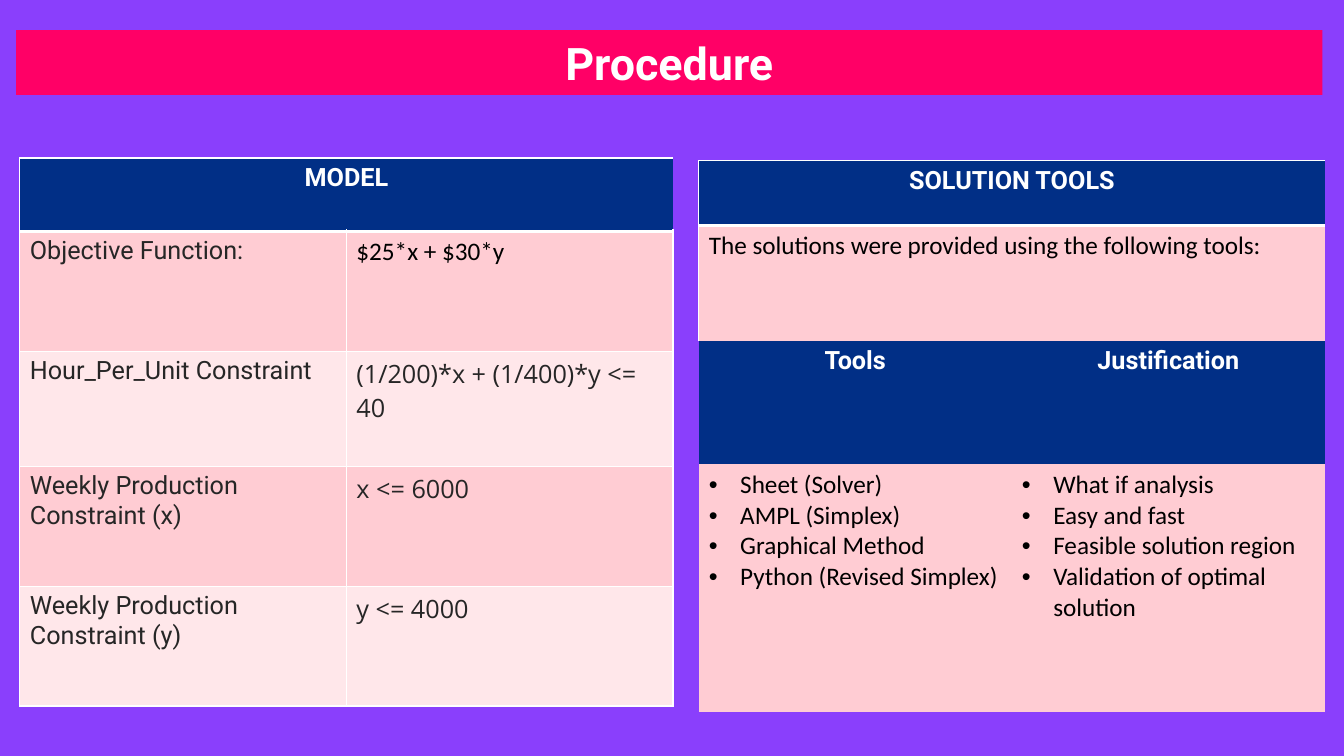
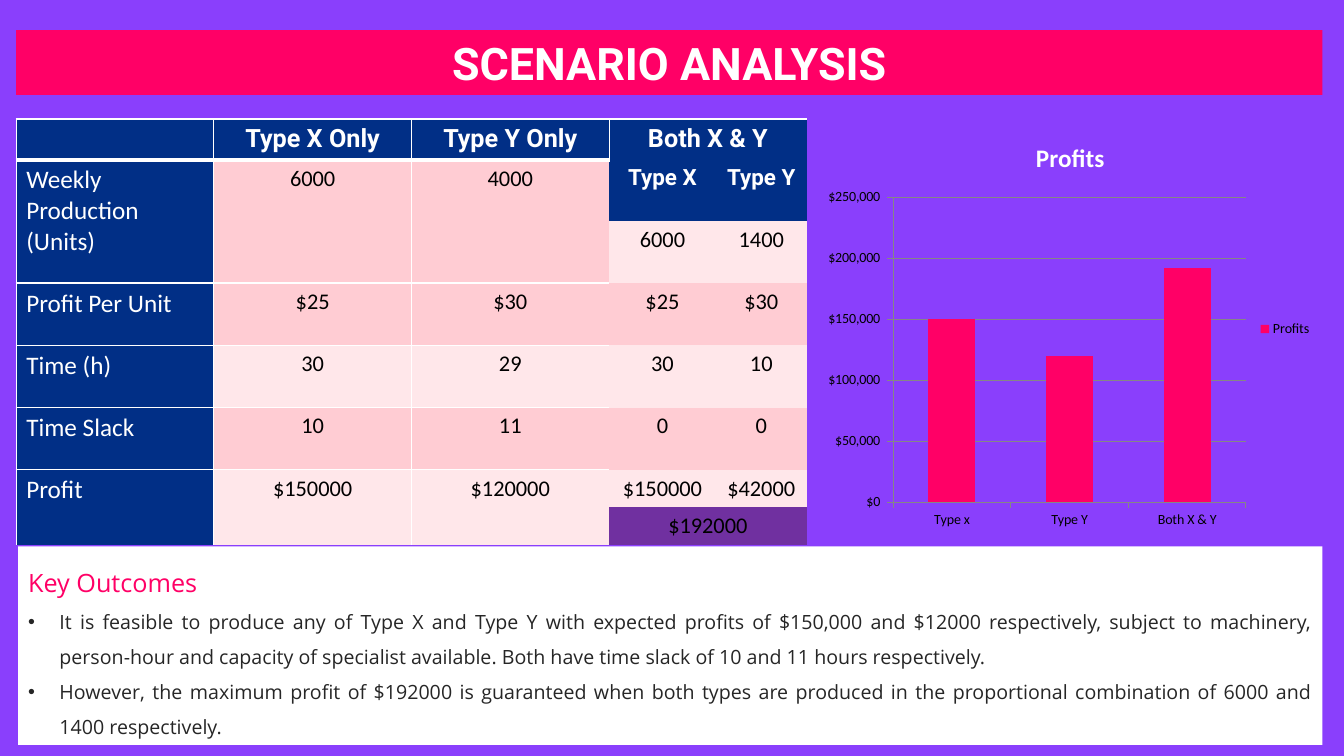
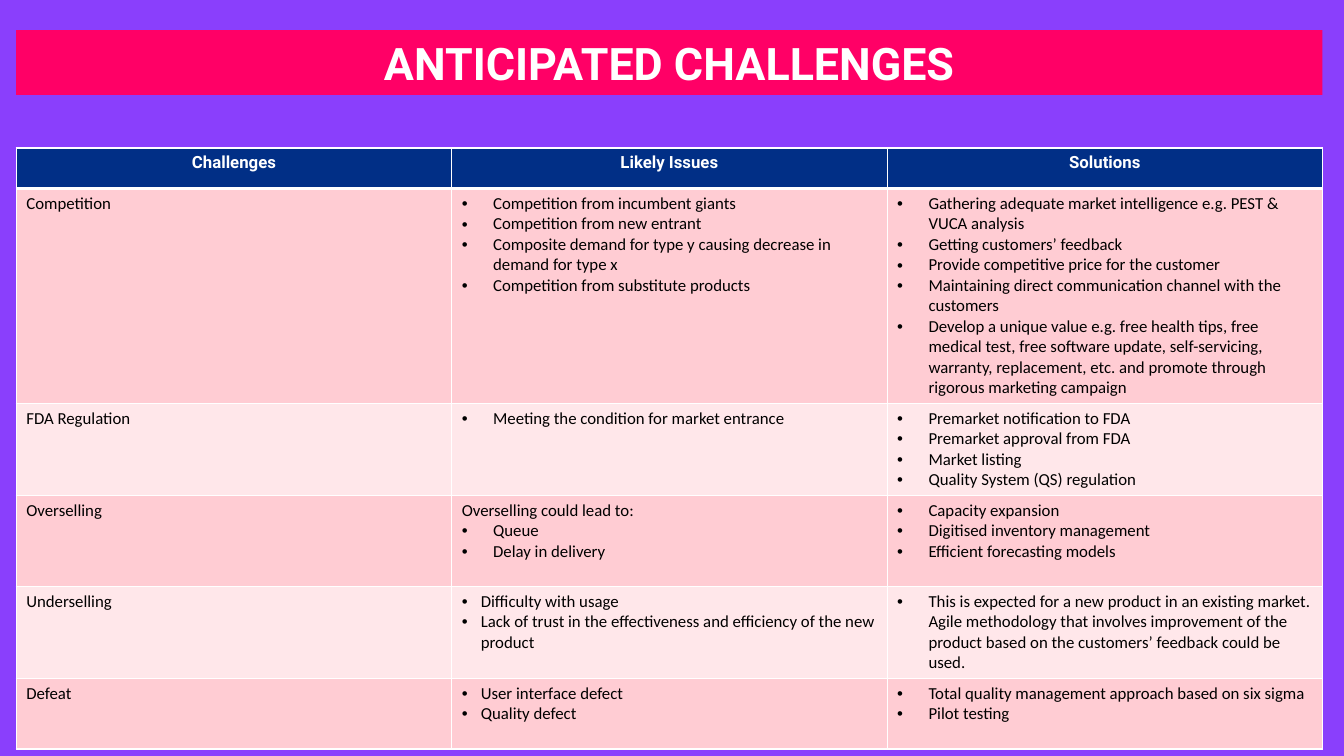
from dataclasses import dataclass, replace
from typing import Optional

from lxml import etree
from pptx import Presentation
from pptx import util as u
from pptx.chart.data import CategoryChartData
from pptx.dml.color import RGBColor
from pptx.enum import chart as ch
from pptx.enum import shapes, text
from pptx.oxml.ns import qn

Cm, Pt = u.Cm, u.Pt
ALIGN = text.PP_ALIGN

# Shared look
COLORS = {
    "page": "8A3FFC", "accent": "FF0066", "navy": "012F86", "white": "FFFFFF",
    "black": "000000", "ink": "262626", "dark_band": "FFCCD3",
    "light_band": "FFE7EA", "total": "7030A0", "grid": "868686",
}
BANDS = ("dark_band", "light_band")
WIDE_INDENT, NARROW_INDENT = 0.79, 0.48
BAND_LEFT, BAND_WIDTH = 0.41, 32.92


@dataclass(frozen=True)
class Style:
    font: str = "Calibri"
    size: int = 18
    color: str = "black"
    bold: bool = False
    align: ALIGN = ALIGN.LEFT
    spacing: Optional[float] = None


@dataclass(frozen=True)
class Line:
    text: str
    indent: float = 0  # a bullet is drawn when above zero


@dataclass(frozen=True)
class Cell:
    lines: tuple[Line, ...]
    style: Style
    fill: str
    edges: str = "ltrb"  # sides with a border; a capital is a thick one
    rows: int = 1
    cols: int = 1


HEAD = Style("Roboto", 18, "white", True, ALIGN.CENTER)
BODY = Style()
Grid = list[list[Optional[Cell]]]


def rgb(name: str) -> RGBColor:
    return RGBColor.from_string(COLORS[name])


def bullets(*items: str, indent: float = WIDE_INDENT) -> tuple[Line, ...]:
    return tuple(Line(item, indent) for item in items)


def cell(content: str | tuple[Line, ...], style: Style, fill: str, edges: str = "ltrb",
         rows: int = 1, cols: int = 1) -> Cell:
    lines = (Line(content),) if isinstance(content, str) else content
    return Cell(lines, style, fill, edges, rows, cols)


def head(content: str, edges: str = "ltrB", size: int = 18, cols: int = 1) -> Cell:
    return cell(content, replace(HEAD, size=size), "navy", edges, cols=cols)


# Drawing
def write_line(p, line: Line, style: Style) -> None:
    p.alignment = style.align
    if style.spacing:
        p.line_spacing = style.spacing
    if line.indent:
        pPr = p._p.get_or_add_pPr()
        pPr.set("marL", str(Cm(line.indent)))
        pPr.set("indent", str(-Cm(line.indent)))
        etree.SubElement(pPr, qn("a:buFont")).set("typeface", "Arial")
        etree.SubElement(pPr, qn("a:buChar")).set("char", "•")
    if line.text:
        r = p.add_run()
        r.text = line.text
        r.font.name, r.font.size, r.font.bold = style.font, Pt(style.size), style.bold
        r.font.color.rgb = rgb(style.color)


def write_lines(tf, lines: tuple[Line, ...], style: Style) -> None:
    for i, line in enumerate(lines):
        write_line(tf.paragraphs[0] if i == 0 else tf.add_paragraph(), line, style)


def add_panel(s, left: float, top: float, width: float, height: float, fill: str):
    sp = s.shapes.add_shape(shapes.MSO_SHAPE.RECTANGLE, Cm(left), Cm(top), Cm(width), Cm(height))
    sp.shadow.inherit = False
    sp.fill.solid()
    sp.fill.fore_color.rgb = rgb(fill)
    sp.line.fill.background()
    sp.text_frame.word_wrap = True
    return sp.text_frame


def new_slide(prs, title: str):
    s = prs.slides.add_slide(prs.slide_layouts[6])
    s.background.fill.solid()
    s.background.fill.fore_color.rgb = rgb("page")
    tf = add_panel(s, BAND_LEFT, 0.76, BAND_WIDTH, 1.63, "accent")
    write_line(tf.paragraphs[0], Line(title), replace(HEAD, size=32))
    return s


def set_edges(tc, edges: str) -> None:
    tcPr = tc.get_or_add_tcPr()
    for i, side in enumerate("lrtb"):
        ln = etree.Element(qn(f"a:ln{side.upper()}"))
        if side in edges.lower():
            ln.set("w", str(Pt(1 if side in edges else 3)))
            fill = etree.SubElement(ln, qn("a:solidFill"))
            etree.SubElement(fill, qn("a:srgbClr")).set("val", COLORS["white"])
        else:
            ln.set("w", "0")
            etree.SubElement(ln, qn("a:noFill"))
        tcPr.insert(i, ln)


def add_table(s, left: float, top: float, widths: list[float], heights: list[float],
              grid: Grid) -> None:
    table = s.shapes.add_table(len(heights), len(widths), Cm(left), Cm(top),
                               Cm(sum(widths)), Cm(sum(heights))).table
    table.first_row = table.horz_banding = False
    for column, width in zip(table.columns, widths):
        column.width = Cm(width)
    for row, height in zip(table.rows, heights):
        row.height = Cm(height)
    for top_row, items in enumerate(grid):
        for left_col, item in enumerate(items):
            if item is None:
                continue
            last_row, last_col = top_row + item.rows - 1, left_col + item.cols - 1
            origin = table.cell(top_row, left_col)
            if item.rows * item.cols > 1:
                origin.merge(table.cell(last_row, last_col))
            write_lines(origin.text_frame, item.lines, item.style)
            # A merged cell carries borders on its outer sides only
            for i in range(top_row, last_row + 1):
                for j in range(left_col, last_col + 1):
                    outer = {"l": j == left_col, "r": j == last_col,
                             "t": i == top_row, "b": i == last_row}
                    part = table.cell(i, j)
                    part.fill.solid()
                    part.fill.fore_color.rgb = rgb(item.fill)
                    set_edges(part._tc, "".join(e for e in item.edges if outer[e.lower()]))


def add_profit_chart(s) -> None:
    data = CategoryChartData(number_format='"$"#,##0_);[Red]\\("$"#,##0\\)')
    data.categories = ["Type x", "Type Y", "Both X & Y"]
    data.add_series("Profits", (150000, 120000, 192000))
    chart = s.shapes.add_chart(ch.XL_CHART_TYPE.COLUMN_STACKED, Cm(20.62), Cm(3.07),
                               Cm(12.7), Cm(10.44), data).chart
    chart.font.name, chart.font.size = "Calibri", Pt(10)
    chart.font.color.rgb = rgb("black")
    chart.has_title = True
    write_line(chart.chart_title.text_frame.paragraphs[0], Line("Profits"),
               Style(color="white", bold=True, align=ALIGN.CENTER))
    chart.has_legend = True
    chart.legend.position = ch.XL_LEGEND_POSITION.RIGHT
    chart.legend.include_in_layout = False
    plot = chart.plots[0]
    plot.vary_by_categories = False
    plot.gap_width, plot.overlap = 150, 100
    plot.series[0].format.fill.solid()
    plot.series[0].format.fill.fore_color.rgb = rgb("accent")
    for axis in (chart.category_axis, chart.value_axis):
        axis.major_tick_mark = ch.XL_TICK_MARK.OUTSIDE
        axis.format.line.color.rgb = rgb("grid")
    chart.value_axis.major_gridlines.format.line.color.rgb = rgb("grid")


# Slides
def procedure_slide(prs) -> None:
    s = new_slide(prs, "Procedure")
    label = Style("Roboto", color="ink")
    formula = Style("Open Sans", color="ink")
    model = [
        ("Objective Function:", "$25*x + $30*y", BODY),
        ("Hour_Per_Unit Constraint", "(1/200)*x + (1/400)*y <= 40", formula),
        ("Weekly Production Constraint (x)", "x <= 6000", formula),
        ("Weekly Production Constraint (y)", "y <= 4000", formula),
    ]
    grid: Grid = [[head("MODEL", cols=2), None]]
    for i, (name, rule, style) in enumerate(model):
        edges = "ltrb" if i else "lTrb"
        grid.append([cell(name, label, BANDS[i % 2], edges),
                     cell(rule, style, BANDS[i % 2], edges)])
    add_table(s, 0.5, 3.98, [8.23] * 2, [1.85, 3.02, 2.9, 3.02, 3.02], grid)

    tools = bullets("Sheet (Solver)", "AMPL (Simplex)", "Graphical Method",
                    "Python (Revised Simplex)")
    reasons = bullets("What if analysis", "Easy and fast", "Feasible solution region",
                      "Validation of optimal solution")
    add_table(s, 17.61, 4.05, [7.89] * 2, [1.63, 2.92, 3.1, 6.25], [
        [head("SOLUTION TOOLS", cols=2), None],
        [cell("The solutions were provided using the following tools:", BODY,
              "dark_band", "lTr", cols=2), None],
        [head("Tools", ""), head("Justification", "")],
        [cell(tools, BODY, "dark_band", ""), cell(reasons, BODY, "dark_band", "")],
    ])


def scenario_slide(prs) -> None:
    s = new_slide(prs, "SCENARIO ANALYSIS")
    label = Style(color="white")
    number = Style(size=16, align=ALIGN.CENTER)

    def single_types(name: str, x: str, y: str, fill: str, rows: int = 1,
                     top: str = "t") -> list[Optional[Cell]]:
        return [cell(name, label, "navy", f"l{top}rb", rows),
                cell(x, number, fill, f"l{top}rb", rows),
                cell(y, number, fill, f"l{top}b", rows)]

    def both_types(x: str, y: str, fill: str) -> list[Optional[Cell]]:
        return [cell(value, number, fill, "") for value in (x, y)]

    dark, light = BANDS
    covered: list[Optional[Cell]] = [None] * 3
    grid: Grid = [
        [head(""), head("Type X Only"), head("Type Y Only"),
         head("Both X & Y", "ltr", cols=2), None],
        single_types("Weekly Production (Units)", "6000", "4000", dark, 2, "T")
        + [head("Type X", "", 16), head("Type Y", "", 16)],
        covered + both_types("6000", "1400", light),
        single_types("Profit Per Unit", "$25", "$30", dark) + both_types("$25", "$30", dark),
        single_types("Time (h)", "30", "29", light) + both_types("30", "10", light),
        single_types("Time Slack", "10", "11", dark) + both_types("0", "0", dark),
        single_types("Profit", "$150000", "$120000", light, 2)
        + both_types("$150000", "$42000", light),
        covered + [cell("$192000", number, "total", "", cols=2), None],
    ]
    add_table(s, BAND_LEFT, 3, [4.98] * 3 + [2.69, 2.29],
              [1.02] + [1.55] * 2 + [1.57] * 3 + [0.94] * 2, grid)

    # Key outcomes
    tf = add_panel(s, 0.46, 13.77, 32.87, 5, "white")
    title = Style("Open Sans", 18, "accent", align=ALIGN.JUSTIFY, spacing=1.5)
    write_line(tf.paragraphs[0], Line("Key Outcomes"), title)
    for line in bullets(
        "It is feasible to produce any of Type X and Type Y with expected profits of $150,000 "
        "and $12000 respectively, subject to machinery, person-hour and capacity of specialist "
        "available. Both have time slack of 10 and 11 hours respectively.",
        "However, the maximum profit of $192000 is guaranteed when both types are produced in "
        "the proportional combination of 6000 and 1400 respectively.",
    ):
        write_line(tf.add_paragraph(), line, replace(title, size=14, color="ink"))
    add_profit_chart(s)


def challenges_slide(prs) -> None:
    s = new_slide(prs, "ANTICIPATED CHALLENGES")
    challenges = [
        ("Competition",
         bullets("Competition from incumbent giants", "Competition from new entrant",
                 "Composite demand for type y causing decrease in demand for type x",
                 "Competition from substitute products"),
         bullets("Gathering adequate market intelligence e.g. PEST & VUCA analysis",
                 "Getting customers’ feedback", "Provide competitive price for the customer",
                 "Maintaining direct communication channel with the customers",
                 "Develop a unique value e.g. free health tips, free medical test, free "
                 "software update, self-servicing, warranty, replacement, etc. and promote "
                 "through rigorous marketing campaign")),
        ("FDA Regulation",
         bullets("Meeting the condition for market entrance"),
         bullets("Premarket notification to FDA", "Premarket approval from FDA",
                 "Market listing", "Quality System (QS) regulation")),
        ("Overselling",
         (Line("Overselling could lead to:"),) + bullets("Queue", "Delay in delivery"),
         bullets("Capacity expansion", "Digitised inventory management",
                 "Efficient forecasting models")),
        ("Underselling",
         bullets("Difficulty with usage", "Lack of trust in the effectiveness and efficiency "
                 "of the new product", indent=NARROW_INDENT),
         bullets("This is expected for a new product in an existing market. Agile methodology "
                 "that involves improvement of the product based on the customers’ feedback "
                 "could be used.")),
        ("Defeat",
         bullets("User interface defect", "Quality defect", indent=NARROW_INDENT),
         bullets("Total quality management approach based on six sigma", "Pilot testing")),
    ]
    grid: Grid = [[head(name, size=12) for name in ("Challenges", "Likely Issues", "Solutions")]]
    for i, row in enumerate(challenges):
        grid.append([cell(content, replace(BODY, size=12), BANDS[i % 2],
                          "ltrb" if i else "lTrb") for content in row])
    add_table(s, BAND_LEFT, 3.73, [BAND_WIDTH / 3] * 3,
              [1.02, 5.33, 2.29, 2.29, 2.31, 1.78], grid)


def main() -> None:
    prs = Presentation()
    prs.slide_width, prs.slide_height = Cm(33.87), Cm(19.05)
    procedure_slide(prs)
    scenario_slide(prs)
    challenges_slide(prs)
    prs.save("out.pptx")


if __name__ == "__main__":
    main()
